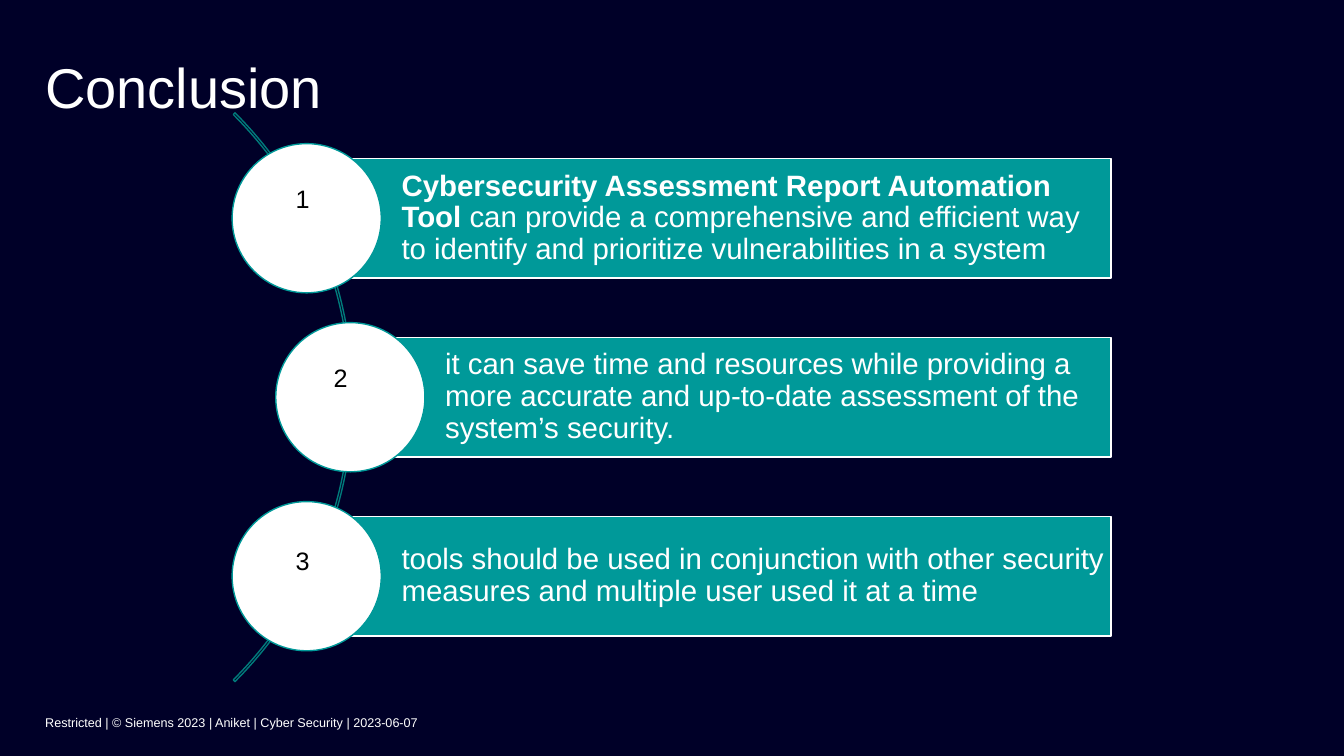
from dataclasses import dataclass

from pptx import Presentation
from pptx.dml.color import RGBColor
from pptx.enum.shapes import MSO_SHAPE
from pptx.enum.text import MSO_ANCHOR, PP_ALIGN
from pptx.util import Cm, Pt


@dataclass(frozen=True)
class Theme:
    font: str = "Arial"
    night: RGBColor = RGBColor(0x00, 0x00, 0x28)
    teal: RGBColor = RGBColor(0x00, 0x99, 0x99)
    dark_teal: RGBColor = RGBColor(0x00, 0x7B, 0x7B)
    white: RGBColor = RGBColor(0xFF, 0xFF, 0xFF)
    black: RGBColor = RGBColor(0x00, 0x00, 0x00)
    title: int = 40
    body: int = 21
    number: int = 18
    footer: int = 9


THEME = Theme()

BAR_RIGHT, BAR_HEIGHT = 28.0, 3.02
FIRST_BAR_TOP, BAR_PITCH = 3.99, 4.51
CIRCLE_SIZE = 3.76
ARC_SIZE = 20.27

# Bar left, number offset from the bar's corner, bold lead, remaining text
POINTS = [
    (7.73, (-0.28, 0.64), "Cybersecurity Assessment Report Automation Tool ",
     "can provide a comprehensive and efficient way to identify and "
     "prioritize vulnerabilities in a system"),
    (8.83, (-0.42, 0.64), "",
     "it can save time and resources while providing a more accurate and "
     "up-to-date assessment of the system’s security."),
    (7.73, (-0.28, 0.74), "",
     "tools should be used in conjunction with other security measures and "
     "multiple user used it at a time"),
]


def set_frame(tf, anchor, insets=(0, 0, 0, 0)):
    """Wrap and anchor the text; insets run left, top, right, bottom in cm."""
    tf.word_wrap = True
    tf.vertical_anchor = anchor
    tf.margin_left, tf.margin_top, tf.margin_right, tf.margin_bottom = map(Cm, insets)


def set_font(p, size, color):
    p.alignment = PP_ALIGN.LEFT
    p.font.name = THEME.font
    p.font.size = Pt(size)
    p.font.color.rgb = color


def add_text(slide, box, text, size, color, anchor=MSO_ANCHOR.TOP, bottom=0):
    tf = slide.shapes.add_textbox(*map(Cm, box)).text_frame
    set_frame(tf, anchor, (0, 0, 0, bottom))
    p = tf.paragraphs[0]
    p.text = text
    set_font(p, size, color)


def add_outlined(slide, kind, box, line, fill=None):
    sp = slide.shapes.add_shape(kind, *map(Cm, box))
    sp.shadow.inherit = False
    sp.line.color.rgb = line
    sp.line.width = Pt(1)
    if fill is None:
        sp.fill.background()
    else:
        sp.fill.solid()
        sp.fill.fore_color.rgb = fill
    return sp


def add_arc(slide):
    center_y = FIRST_BAR_TOP + BAR_PITCH + BAR_HEIGHT / 2
    box = (-11.38, center_y - ARC_SIZE / 2, ARC_SIZE, ARC_SIZE)
    sp = add_outlined(slide, MSO_SHAPE.BLOCK_ARC, box, THEME.dark_teal)
    for i, value in enumerate((189, 27, 0.003)):
        sp.adjustments[i] = value


def add_bar(slide, left, top, lead, text):
    box = (left, top, BAR_RIGHT - left, BAR_HEIGHT)
    sp = add_outlined(slide, MSO_SHAPE.RECTANGLE, box, THEME.white, THEME.teal)
    set_frame(sp.text_frame, MSO_ANCHOR.MIDDLE, (2.39, 0.15, 0.13, 0.15))
    p = sp.text_frame.paragraphs[0]
    p.line_spacing = 0.9
    set_font(p, THEME.body, THEME.white)
    if lead:
        r = p.add_run()
        r.text = lead
        r.font.bold = True
    p.add_run().text = text


def add_point(slide, index, left, offset, lead, text):
    """Add a bar with a numbered circle centred on its left edge."""
    top = FIRST_BAR_TOP + index * BAR_PITCH
    add_bar(slide, left, top, lead, text)
    circle = (left - CIRCLE_SIZE / 2, top + (BAR_HEIGHT - CIRCLE_SIZE) / 2,
              CIRCLE_SIZE, CIRCLE_SIZE)
    add_outlined(slide, MSO_SHAPE.OVAL, circle, THEME.teal, THEME.white)
    dx, dy = offset
    add_text(slide, (left + dx, top + dy, 1.95, 0.76), str(index + 1),
             THEME.number, THEME.black)


def main():
    prs = Presentation()
    prs.slide_width, prs.slide_height = Cm(33.87), Cm(19.05)
    slide = prs.slides.add_slide(prs.slide_layouts[6])
    slide.background.fill.solid()
    slide.background.fill.fore_color.rgb = THEME.night

    add_text(slide, (1.14, 1.22, 25.8, 3.43), "Conclusion",
             THEME.title, THEME.white, MSO_ANCHOR.BOTTOM, bottom=1.63)
    add_text(slide, (1.14, 17.53, 25.8, 1.52),
             "Restricted | © Siemens 2023 | Aniket | Cyber Security | 2023-06-07",
             THEME.footer, THEME.white, MSO_ANCHOR.MIDDLE, bottom=0.18)
    add_arc(slide)
    for index, point in enumerate(POINTS):
        add_point(slide, index, *point)

    prs.save("out.pptx")


if __name__ == "__main__":
    main()
